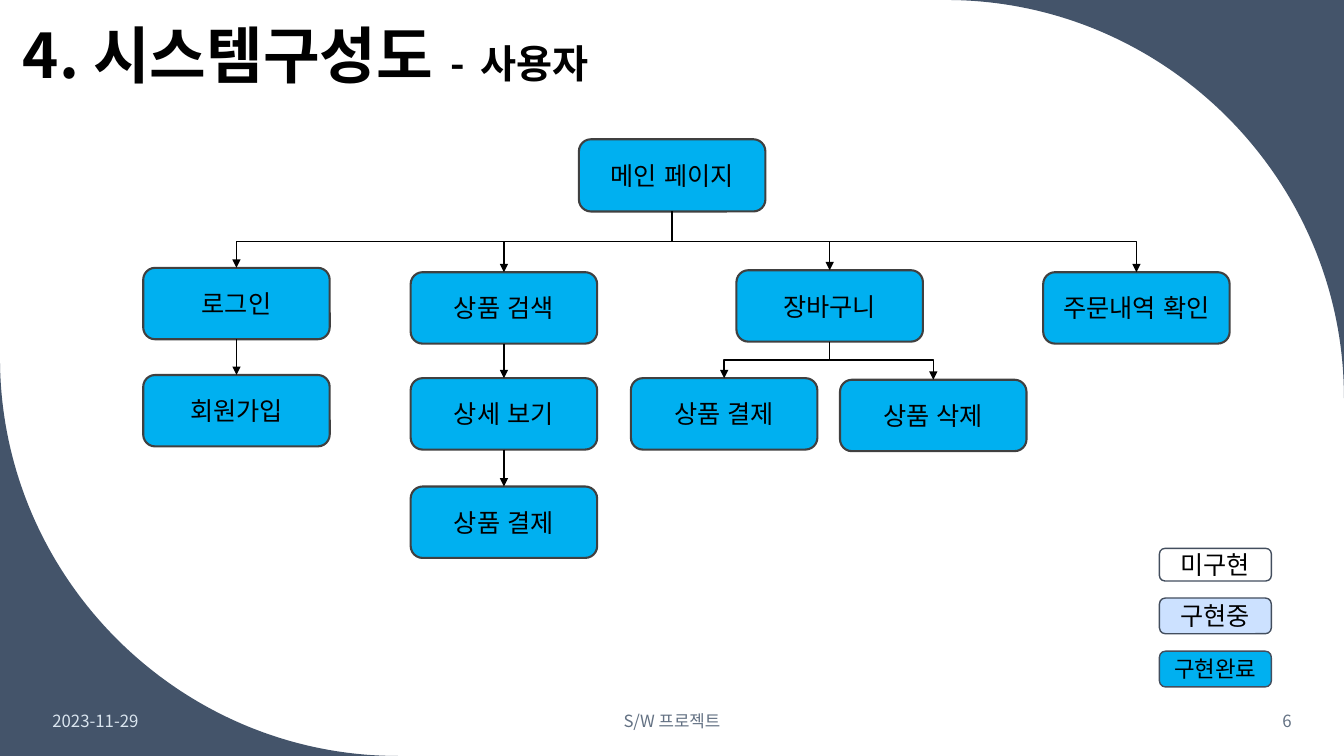
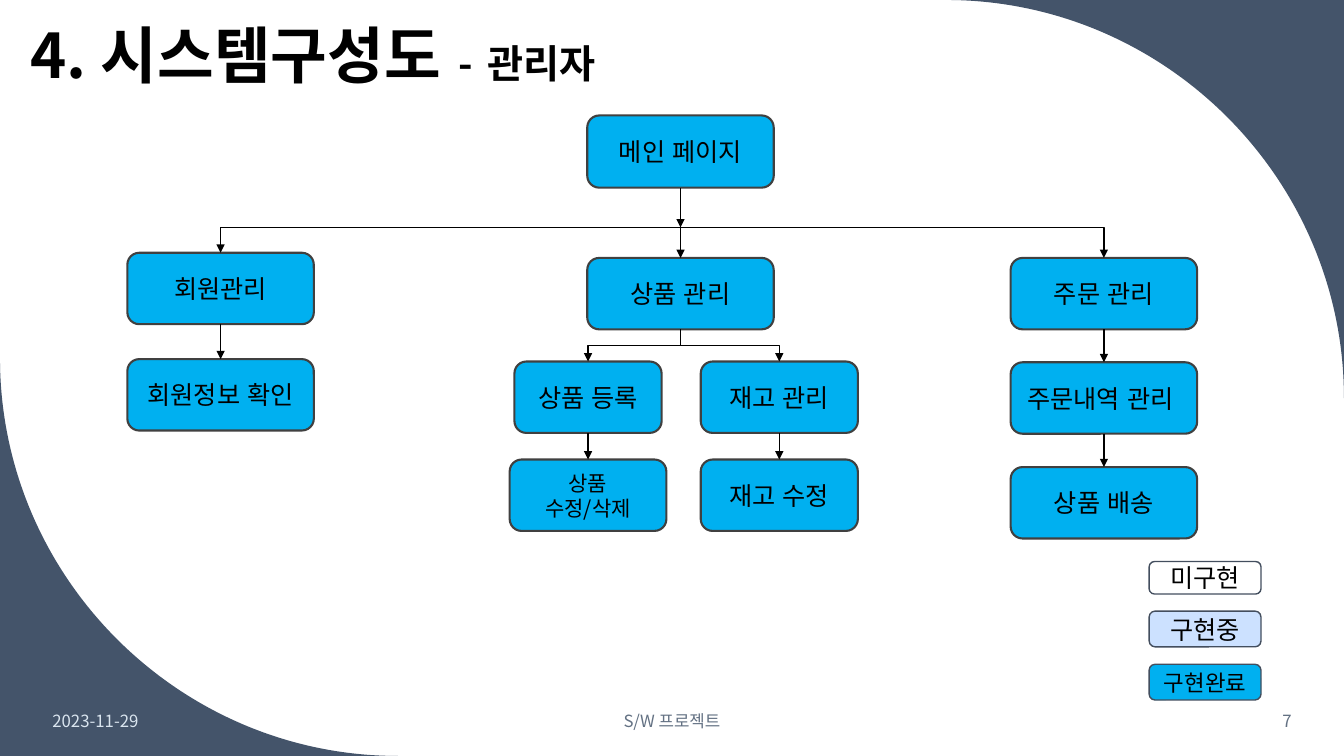
from lxml import etree
from pptx import Presentation
from pptx.dml.color import RGBColor
from pptx.enum import lang, shapes, text
from pptx.oxml import ns
from pptx.util import Cm, Pt

NAVY = RGBColor(0x44, 0x54, 0x6A)
BLUE = RGBColor(0x00, 0xB0, 0xF0)
PALE_BLUE = RGBColor(0xCC, 0xE1, 0xFF)
WHITE = RGBColor(0xFF, 0xFF, 0xFF)
BLACK = RGBColor(0x00, 0x00, 0x00)
BOX_LINE = RGBColor(0x40, 0x40, 0x40)
LEGEND_LINE = RGBColor(0x43, 0x4E, 0x5E)
DATE_TEXT = RGBColor(0xDA, 0xE5, 0xEF)
FOOTER_TEXT = RGBColor(0x63, 0x71, 0x83)

FONT = "Noto Sans CJK KR"
SLIDE_WIDTH, SLIDE_HEIGHT = 33.87, 19.05
CORNER_SIZE = 10.03
LEFT, CENTER, RIGHT = text.PP_ALIGN.LEFT, text.PP_ALIGN.CENTER, text.PP_ALIGN.RIGHT
MIDDLE, BOTTOM = text.MSO_ANCHOR.MIDDLE, text.MSO_ANCHOR.BOTTOM
STRAIGHT, ELBOW = shapes.MSO_CONNECTOR.STRAIGHT, shapes.MSO_CONNECTOR.ELBOW


def write(frame, pieces, size=18, color=BLACK, align=CENTER, anchor=MIDDLE, bold=False, spacing=None):
    """Fill a text frame with a string or with (string, size) pieces."""
    if isinstance(pieces, str):
        pieces = [(pieces, size)]
    frame.word_wrap = True
    frame.auto_size = text.MSO_AUTO_SIZE.NONE
    frame.vertical_anchor = anchor
    paragraph = frame.paragraphs[0]
    paragraph.alignment = align
    paragraph.line_spacing = spacing
    for words, points in pieces:
        run = paragraph.add_run()
        run.text = words
        run.font.size = Pt(points)
        run.font.bold = bold
        run.font.color.rgb = color
        run.font.name = FONT
        run.font.language_id = lang.MSO_LANGUAGE_ID.KOREAN
        etree.SubElement(run._r.get_or_add_rPr(), ns.qn("a:ea"), typeface=FONT)


class Deck:
    """Hold the shared style and the slide being drawn."""

    def __init__(self):
        """Start an empty widescreen presentation."""
        self.presentation = Presentation()
        self.presentation.slide_width = Cm(SLIDE_WIDTH)
        self.presentation.slide_height = Cm(SLIDE_HEIGHT)
        self.slide = None

    def add_slide(self, role, number, title_left):
        """Add a slide with its title, corners and footer."""
        self.slide = self.presentation.slides.add_slide(self.presentation.slide_layouts[5])
        self.corner(SLIDE_WIDTH, 0, -CORNER_SIZE, CORNER_SIZE)
        self.corner(0, SLIDE_HEIGHT, CORNER_SIZE, -CORNER_SIZE)
        title = self.slide.shapes.title
        title.left, title.top = Cm(title_left), Cm(0.22)
        title.width, title.height = Cm(27.15), Cm(2.24)
        pieces = [("4. 시스템구성도 ", 44), ("-", 28), (" ", 48), (role, 28)]
        write(title.text_frame, pieces, align=LEFT, anchor=BOTTOM, bold=True, spacing=0.9)
        self.footer("2023-11-29", 1.07, 4.72, DATE_TEXT, LEFT)
        self.footer("S/W 프로젝트", 11.22, 11.43, FOOTER_TEXT, CENTER)
        self.footer(number, 28.2, 4.6, FOOTER_TEXT, RIGHT)

    def corner(self, corner_x, corner_y, run, rise):
        """Fill a slide corner up to a curve between its two edges."""
        start, end = (corner_x + run, corner_y), (corner_x, corner_y + rise)
        builder = self.slide.shapes.build_freeform(Cm(corner_x), Cm(corner_y))
        builder.add_line_segments([(Cm(x), Cm(y)) for x, y in (start, end)], close=True)
        shape = builder.convert_to_shape()
        shape.shadow.inherit = False
        shape.fill.solid()
        shape.fill.fore_color.rgb = NAVY
        shape.line.fill.background()
        chord = list(shape._element.iter(ns.qn("a:lnTo")))[1]
        curve = etree.Element(ns.qn("a:cubicBezTo"))
        for x, y in ((corner_x + run * 0.45, corner_y), (corner_x, corner_y + rise * 0.45), end):
            point = etree.SubElement(curve, ns.qn("a:pt"))
            point.set("x", str(Cm(x) - shape.left))
            point.set("y", str(Cm(y) - shape.top))
        chord.getparent().replace(chord, curve)

    def footer(self, words, left, width, color, align):
        """Add one footer text."""
        box = self.slide.shapes.add_textbox(Cm(left), Cm(17.65), Cm(width), Cm(1.02))
        write(box.text_frame, words, size=12, color=color, align=align)

    def box(self, words, center, top, width=4.7, height=1.8, fill=BLUE, line=BOX_LINE, weight=1.5, size=18):
        """Add a rounded box centred on a column."""
        shape = self.slide.shapes.add_shape(
            shapes.MSO_SHAPE.ROUNDED_RECTANGLE, Cm(center - width / 2), Cm(top), Cm(width), Cm(height)
        )
        shape.shadow.inherit = False
        shape.fill.solid()
        shape.fill.fore_color.rgb = fill
        shape.line.color.rgb = line
        shape.line.width = Pt(weight)
        write(shape.text_frame, words, size=size)
        return shape

    def column(self, center, *items, **style):
        """Stack (words, top) boxes and link each to the next."""
        boxes = [self.box(words, center, top, **style) for words, top in items]
        for upper, lower in zip(boxes, boxes[1:]):
            self.link(upper, lower)
        return boxes[0]

    def legend(self, center, top):
        """Add the three status keys."""
        keys = [
            ("미구현", 0, 0.82, WHITE, 18),
            ("구현중", 1.25, 0.9, PALE_BLUE, 18),
            ("구현완료", 2.59, 0.9, BLUE, 16),
        ]
        for words, offset, height, fill, size in keys:
            self.box(words, center, top + offset, 2.82, height, fill, LEGEND_LINE, 1, size)

    def arrow(self, kind, begin_x, begin_y, end_x, end_y):
        """Add a black connector with an arrowhead at its end."""
        points = [round(value) for value in (begin_x, begin_y, end_x, end_y)]
        connector = self.slide.shapes.add_connector(kind, *points)
        connector.line.color.rgb = BLACK
        connector.line.width = Pt(1)
        etree.SubElement(connector.line._get_or_add_ln(), ns.qn("a:tailEnd"), type="triangle")
        etree.SubElement(connector._element.spPr, ns.qn("a:effectLst"))
        return connector

    def link(self, parent, child):
        """Link a box straight down to the next."""
        x = parent.left + parent.width / 2
        connector = self.arrow(STRAIGHT, x, parent.top + parent.height, x, child.top)
        connector.begin_connect(parent, 2)
        connector.end_connect(child, 0)

    def drop(self, start, bus, child):
        """Run along the bus from a start and turn down into a box."""
        x = child.left + child.width / 2
        if start is None:
            self.arrow(STRAIGHT, x, Cm(bus), x, child.top)
            return
        connector = self.arrow(ELBOW, Cm(start), Cm(bus), x, child.top)
        connector._element.spPr.find(ns.qn("a:prstGeom")).set("prst", "bentConnector2")

    def branch(self, parent, children, bus):
        """Link a box to children aside, turning twice at the bus height."""
        begin_x, begin_y = parent.left + parent.width / 2, parent.top + parent.height
        for child in children:
            end_x, end_y = child.left + child.width / 2, child.top
            middle_x, middle_y = (begin_x + end_x) / 2, (begin_y + end_y) / 2
            side = 1 if end_x > begin_x else -1
            half_drop, half_run = side * (end_y - begin_y) / 2, abs(end_x - begin_x) / 2
            connector = self.arrow(
                ELBOW, middle_x + half_drop, middle_y - half_run, middle_x - half_drop, middle_y + half_run
            )
            properties = connector._element.spPr
            degrees = 270 if side > 0 else 90
            properties.find(ns.qn("a:xfrm")).set("rot", str(degrees * 60000))
            adjustments = properties.find(ns.qn("a:prstGeom")).get_or_add_avLst()
            turn = round((Cm(bus) - begin_y) / (end_y - begin_y) * 100000)
            etree.SubElement(adjustments, ns.qn("a:gd"), name="adj1", fmla=f"val {turn}")


def draw_user(deck):
    """Draw the user's page tree."""
    deck.add_slide("사용자", "6", 0.32)
    bus = 6.09
    main_page = deck.box("메인 페이지", 16.94, 3.51, height=1.82)
    login = deck.column(5.96, ("로그인", 6.75), ("회원가입", 9.45))
    search = deck.column(12.7, ("상품 검색", 6.86), ("상세 보기", 9.53), ("상품 결제", 12.26))
    cart = deck.box("장바구니", 20.91, 6.81)
    orders = deck.box("주문내역 확인", 28.64, 6.86)
    payment = deck.box("상품 결제", 18.25, 9.53)
    removal = deck.box("상품 삭제", 23.52, 9.57)
    deck.drop(17.2, bus, login)
    deck.drop(12.57, bus, cart)
    deck.drop(None, bus, search)
    deck.branch(main_page, [orders], bus)
    deck.branch(cart, [payment, removal], 9.07)
    deck.legend(30.63, 13.82)


def draw_manager(deck):
    """Draw the manager's page tree."""
    deck.add_slide("관리자", "7", 0.51)
    center, bus = 17.15, 5.73
    main_page = deck.box("메인 페이지", center, 2.91, height=1.82)
    members = deck.column(5.56, ("회원관리", 6.37), ("회원정보 확인", 9.05))
    products = deck.box("상품 관리", center, 6.5)
    orders = deck.column(27.82, ("주문 관리", 6.5), ("주문내역 관리 ", 9.13), ("상품 배송", 11.77))
    register = deck.box("상품 등록", 14.82, 9.11, width=3.71)
    edit = deck.box("상품 수정/삭제", 14.82, 11.58, width=3.95, size=15)
    stock = deck.column(19.64, ("재고 관리", 9.11), ("재고 수정", 11.58), width=3.96)
    deck.link(register, edit)
    deck.arrow(STRAIGHT, Cm(center), main_page.top + main_page.height, Cm(center), Cm(bus))
    deck.drop(None, bus, products)
    deck.drop(23.77, bus, members)
    deck.drop(22.65, bus, orders)
    deck.branch(products, [register, stock], 8.7)
    deck.legend(30.37, 14.15)


def main():
    """Build and save the presentation."""
    deck = Deck()
    draw_user(deck)
    draw_manager(deck)
    deck.presentation.save("out.pptx")


if __name__ == "__main__":
    main()
